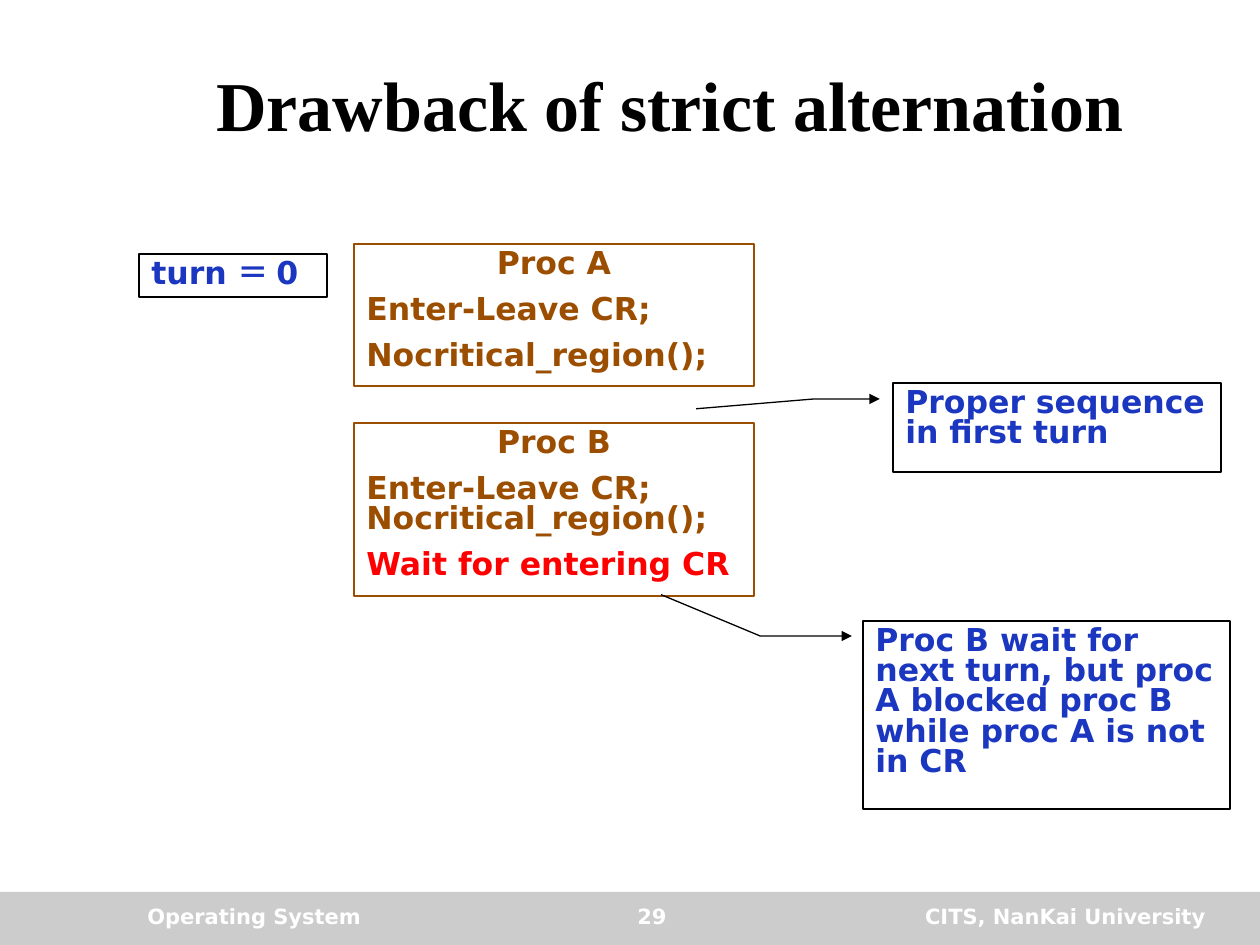
from pptx import Presentation
from pptx.dml.color import RGBColor as RGB
from pptx.enum.shapes import MSO_SHAPE as SHAPE
from pptx.enum.text import MSO_ANCHOR as ANCHOR, PP_ALIGN as ALIGN
from pptx.oxml.ns import qn
from pptx.util import Emu, Pt
from lxml.etree import SubElement

C = {"black": "000000", "white": "FFFFFF", "grey": "CCCCCC",
     "brown": "9C4E00", "blue": "1B37C0", "red": "FF0000"}
SANS, SERIF = "DejaVu Sans", "Times New Roman"


def px(n):
    """Turn px (126 to the inch) into EMU."""
    return Emu(round(n * 914400 / 126))


def write(tf, lines, size, font=SANS, gap=0, spacing=1.0):
    """Fill a text frame with (text, colour, alignment) paragraphs."""
    for i, (text, color, align) in enumerate(lines):
        p = tf.paragraphs[0] if i == 0 else tf.add_paragraph()
        fmt = {"alignment": align, "line_spacing": spacing,
               "space_before": Pt(gap if i else 0)}
        for key, value in fmt.items():
            setattr(p, key, value)
        r = p.add_run()
        r.text = text
        for key, value in {"name": font, "size": Pt(size), "bold": True}.items():
            setattr(r.font, key, value)
        r.font.color.rgb = RGB.from_string(C[color])


def add_box(s, box, lines, line="black", kind=SHAPE.RECTANGLE, wrap=True):
    """Add an outlined, unfilled box of text."""
    sp = s.shapes.add_shape(kind, *map(px, box))
    sp.shadow.inherit = False
    sp.fill.background()
    sp.line.color.rgb = RGB.from_string(C[line])
    sp.line.width = Pt(0.75)
    tf = sp.text_frame
    for key, value in {"word_wrap": wrap, "vertical_anchor": ANCHOR.TOP}.items():
        setattr(tf, key, value)
    write(tf, lines, 18, gap=9, spacing=0.8)
    return sp


def add_process(s, box, name, steps):
    """Add a process box with a centred name above its (text, colour) steps."""
    lines = [(name, "brown", ALIGN.CENTER)]
    lines += [(text, color, ALIGN.LEFT) for text, color in steps]
    add_box(s, box, lines, "brown")


def add_note(s, box, text, adjustments):
    """Add a callout whose bent leader has an arrowhead at the box."""
    sp = add_box(s, box, [(text, "blue", ALIGN.LEFT)], kind=SHAPE.LINE_CALLOUT_2)
    for i, value in enumerate(adjustments):
        sp.adjustments[i] = value
    ln = sp.line.fill._xPr
    SubElement(ln, qn("a:headEnd"), type="triangle")


def add_title(s, box, text):
    """Place and format the title placeholder."""
    sp = s.shapes.title
    for key, value in zip(("left", "top", "width", "height"), box):
        setattr(sp, key, px(value))
    sp.text_frame.vertical_anchor = ANCHOR.MIDDLE
    write(sp.text_frame, [(text, "black", ALIGN.CENTER)], 40, SERIF)


def add_footer(s, box, parts):
    """Add the footer band and its (left, width, text, alignment) parts."""
    x, y, w, h = box
    band = s.shapes.add_shape(SHAPE.RECTANGLE, *map(px, box))
    band.shadow.inherit = False
    band.fill.solid()
    band.fill.fore_color.rgb = RGB.from_string(C["grey"])
    band.line.fill.background()
    for left, width, text, align in parts:
        tb = s.shapes.add_textbox(*map(px, (x + left, y + 5, width, h - 11)))
        tb.text_frame.word_wrap = True
        write(tb.text_frame, [(text, "white", align)], 12)


def main():
    """Build the slide and save it."""
    prs = Presentation()
    prs.slide_width, prs.slide_height = px(1260), px(945)
    s = prs.slides.add_slide(prs.slide_layouts[5])
    add_footer(s, (0, 892, 1260, 53), [
        (135, 346, "Operating System", ALIGN.LEFT),
        (505, 294, "29", ALIGN.CENTER),
        (819, 399, "CITS, NanKai University", ALIGN.RIGHT)])
    add_title(s, (134, 42, 1072, 123), "Drawback of strict alternation")
    add_process(s, (354, 244, 400, 142), "Proc A", [
        ("Enter-Leave CR;", "brown"), ("Nocritical_region();", "brown")])
    add_box(s, (139, 254, 188, 43), [("turn ＝ 0", "blue", ALIGN.LEFT)], wrap=False)
    add_process(s, (354, 423, 400, 173), "Proc B", [
        ("Enter-Leave CR; Nocritical_region();", "brown"),
        ("Wait for entering CR", "red")])
    add_note(s, (893, 383, 328, 89), "Proper sequence in first turn",
             (0.18, -0.04, 0.18, -0.24, 0.29, -0.6))
    add_note(s, (863, 621, 367, 188),
             "Proc B wait for next turn, but proc A blocked proc B while proc A is not in CR",
             (0.08, -0.03, 0.08, -0.28, -0.14, -0.55))
    prs.save("out.pptx")


if __name__ == "__main__":
    main()
